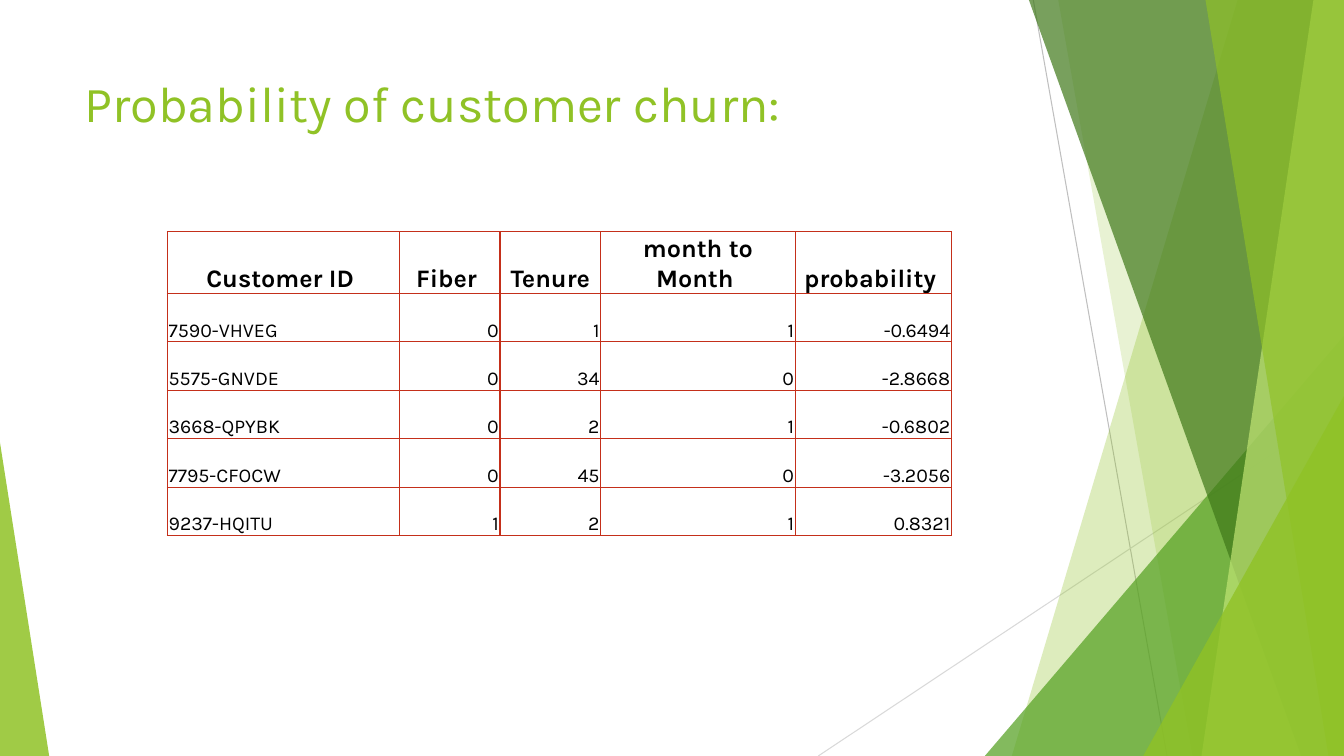
from dataclasses import dataclass

from lxml import etree
from pptx import Presentation
from pptx import util as u
from pptx.dml.color import RGBColor
from pptx.enum import shapes, text
from pptx.oxml.ns import qn


@dataclass(frozen=True)
class Theme:
    font: str = "Karla"
    title_size: int = 36
    header_size: int = 18
    body_size: int = 14
    lime: str = "90C226"
    pale_lime: str = "C0E474"
    green: str = "54A021"
    dark_green: str = "3F7819"
    border: str = "C42F1A"
    ink: str = "000000"
    gray: str = "BFBFBF"
    light_gray: str = "D9D9D9"


WIDTH, HEIGHT = 33.87, 19.05
LEFT, CENTER, RIGHT = text.PP_ALIGN.LEFT, text.PP_ALIGN.CENTER, text.PP_ALIGN.RIGHT


def write(frame, content, *, font, size, color, bold=False, align=LEFT):
    frame.word_wrap = True
    paragraph = frame.paragraphs[0]
    paragraph.alignment = align
    run = paragraph.add_run()
    run.text = content
    run.font.name = font
    run.font.size = u.Pt(size)
    run.font.bold = bold
    run.font.color.rgb = RGBColor.from_string(color)


class SlideBuilder:
    def __init__(self, slide, theme):
        self.slide = slide
        self.theme = theme

    def line(self, start, end, color):
        connector = self.slide.shapes.add_connector(
            shapes.MSO_CONNECTOR.STRAIGHT, *map(u.Cm, start + end))
        connector.line.color.rgb = RGBColor.from_string(color)
        connector.line.width = u.Pt(0.75)
        etree.SubElement(connector._element.spPr, qn("a:effectLst"))

    def paint(self, shape, color, opacity):
        shape.shadow.inherit = False
        shape.line.fill.background()
        shape.fill.solid()
        shape.fill.fore_color.rgb = RGBColor.from_string(color)
        color_node = shape._element.spPr.find(".//" + qn("a:srgbClr"))
        etree.SubElement(color_node, qn("a:alpha"), val=str(opacity * 1000))

    def band(self, top_left, bottom_left, color, opacity):
        builder = self.slide.shapes.build_freeform(
            u.Cm(top_left), 0, scale=1.0)
        corners = [(WIDTH, 0), (WIDTH, HEIGHT), (bottom_left, HEIGHT)]
        builder.add_line_segments([(u.Cm(x), u.Cm(y)) for x, y in corners], close=True)
        self.paint(builder.convert_to_shape(), color, opacity)

    def triangle(self, left, top, width, apex, color, opacity):
        shape = self.slide.shapes.add_shape(
            shapes.MSO_SHAPE.ISOSCELES_TRIANGLE,
            *map(u.Cm, (left, top, width, HEIGHT - top)))
        shape.adjustments[0] = apex
        self.paint(shape, color, opacity)

    def title(self, content, left, top, width, height):
        box = self.slide.shapes.add_textbox(*map(u.Cm, (left, top, width, height)))
        write(box.text_frame, content, font=self.theme.font,
              size=self.theme.title_size, color=self.theme.lime)

    def cell_borders(self, cell):
        properties = cell._tc.get_or_add_tcPr()
        for index, side in enumerate(("lnL", "lnR", "lnT", "lnB")):
            border = etree.Element(qn(f"a:{side}"), w=str(u.Pt(1)))
            fill = etree.SubElement(border, qn("a:solidFill"))
            etree.SubElement(fill, qn("a:srgbClr"), val=self.theme.border)
            properties.insert(index, border)

    def table(self, rows, left, top, column_widths, row_height):
        frame = self.slide.shapes.add_table(
            len(rows), len(column_widths), u.Cm(left), u.Cm(top),
            u.Cm(sum(column_widths)), u.Cm(row_height * len(rows)))
        table = frame.table
        table.horz_banding = False
        for column, width in zip(table.columns, column_widths):
            column.width = u.Cm(width)
        for row_index, values in enumerate(rows):
            header = row_index == 0
            for column_index, value in enumerate(values):
                cell = table.cell(row_index, column_index)
                cell.fill.background()
                cell.vertical_anchor = text.MSO_ANCHOR.BOTTOM
                cell.margin_left = cell.margin_right = cell.margin_top = u.Cm(0.03)
                cell.margin_bottom = 0
                align = CENTER if header else RIGHT if column_index else LEFT
                write(cell.text_frame, value, font=self.theme.font,
                      size=self.theme.header_size if header else self.theme.body_size,
                      color=self.theme.ink, bold=header, align=align)
                self.cell_borders(cell)


def main():
    presentation = Presentation()
    presentation.slide_width = u.Cm(WIDTH)
    presentation.slide_height = u.Cm(HEIGHT)
    theme = Theme()
    slide = presentation.slides.add_slide(presentation.slide_layouts[6])
    builder = SlideBuilder(slide, theme)

    builder.line((26.04, 0), (29.41, HEIGHT), theme.gray)
    builder.line((WIDTH, 10.24), (20.62, HEIGHT), theme.light_gray)
    builder.band(31.19, 25.5, theme.lime, 30)
    builder.band(26.67, 30.05, theme.lime, 20)
    builder.triangle(24.82, 8.46, 9.05, 1, theme.green, 72)
    builder.band(25.93, 32.79, theme.dark_green, 70)
    builder.band(33.1, 30.28, theme.pale_lime, 70)
    builder.band(30.38, 33.48, theme.lime, 65)
    builder.triangle(28.81, 9.98, 5.06, 1, theme.lime, 80)
    builder.triangle(0, 11.15, 1.24, 0, theme.lime, 85)

    builder.title("Probability of customer churn:", 1.88, 1.7, 23.88, 3.66)
    builder.table([
        ("Customer ID ", "Fiber ", "Tenure", "month to Month ", "probability "),
        ("7590-VHVEG", "0", "1", "1", "-0.6494"),
        ("5575-GNVDE", "0", "34", "0", "-2.8668"),
        ("3668-QPYBK", "0", "2", "1", "-0.6802"),
        ("7795-CFOCW", "0", "45", "0", "-3.2056"),
        ("9237-HQITU", "1", "2", "1", "0.8321"),
    ], 4.22, 5.84, (5.84, 2.54, 2.54, 4.9, 3.94), 1.22)

    presentation.save("out.pptx")


if __name__ == "__main__":
    main()
